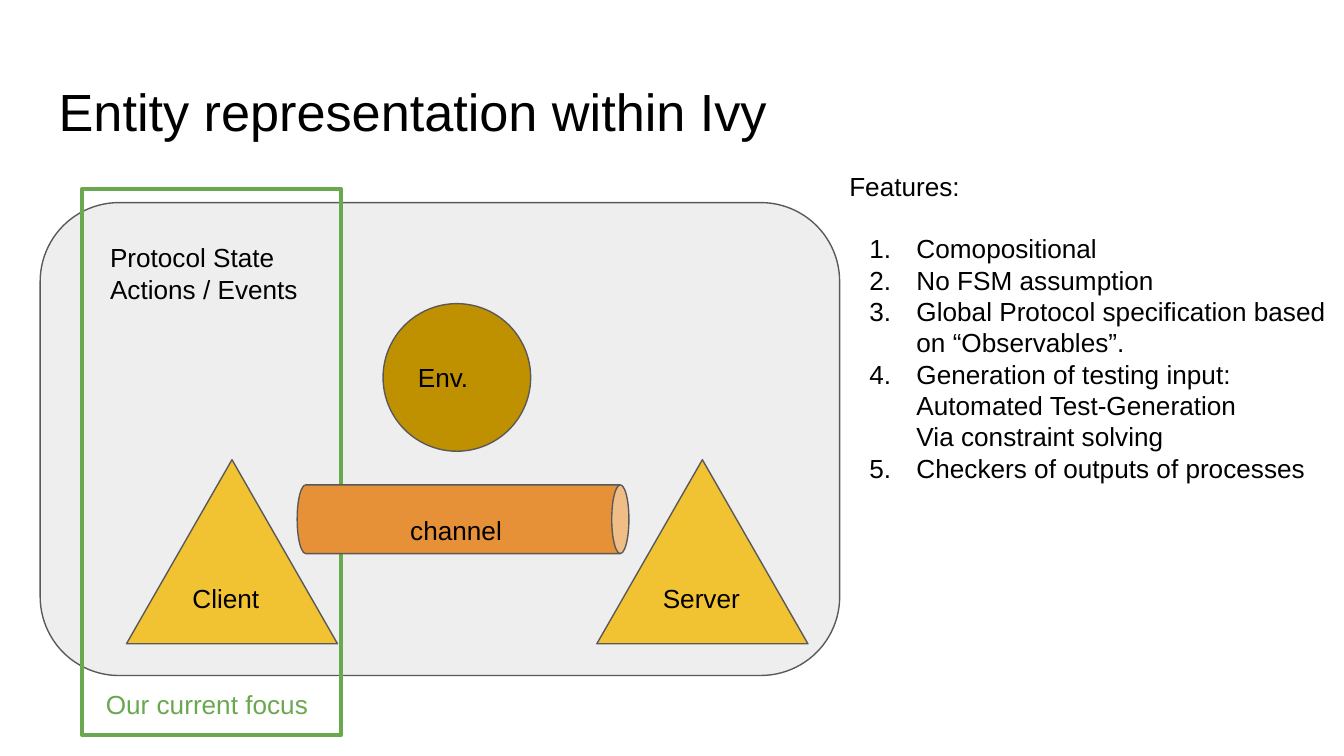
from lxml.etree import SubElement
from pptx import Presentation
from pptx.dml.color import RGBColor
from pptx.enum.shapes import MSO_SHAPE as Preset
from pptx.enum.text import MSO_ANCHOR as Anchor, MSO_AUTO_SIZE as AutoSize, PP_ALIGN as Align
from pptx.oxml.ns import qn
from pptx.util import Cm, Pt

FONT = "Arial"
BLACK = RGBColor(0x00, 0x00, 0x00)
OUTLINE = RGBColor(0x59, 0x59, 0x59)
PANEL = RGBColor(0xEE, 0xEE, 0xEE)
FOCUS = RGBColor(0x6A, 0xA8, 0x4F)
PROCESS = RGBColor(0xF1, 0xC2, 0x32)
CHANNEL = RGBColor(0xE6, 0x91, 0x38)
ENVIRONMENT = RGBColor(0xBF, 0x90, 0x00)

FEATURES = [
    ["Comopositional"],
    ["No FSM assumption"],
    ["Global Protocol specification based on “Observables”."],
    ["Generation of testing input: Automated Test-Generation", "Via constraint solving"],
    ["Checkers of outputs of processes"],
]


def place(part, left, top, width, height):
    part.left, part.top, part.width, part.height = map(Cm, (left, top, width, height))


def prepare_frame(frame, anchor=Anchor.TOP):
    frame.word_wrap = True
    frame.auto_size = AutoSize.NONE
    frame.vertical_anchor = anchor
    frame.margin_left = frame.margin_right = Cm(0.25)
    frame.margin_top = frame.margin_bottom = Cm(0.25)


def write(paragraph, words, size=14, color=BLACK, align=Align.LEFT):
    paragraph.alignment = align
    paragraph.space_before = Pt(0)
    run = paragraph.add_run()
    run.text = words
    run.font.name = FONT
    run.font.size = Pt(size)
    run.font.color.rgb = color


def write_lines(frame, lines, **style):
    for index, line in enumerate(lines):
        paragraph = frame.add_paragraph() if index else frame.paragraphs[0]
        write(paragraph, line, **style)


def set_bullet(paragraph, numbered):
    props = paragraph._p.get_or_add_pPr()
    props.set("marL", str(Cm(1.27) if numbered else 0))
    props.set("indent", str(Cm(-0.89) if numbered else 0))
    if numbered:
        SubElement(props, qn("a:buFont"), typeface=FONT)
        SubElement(props, qn("a:buAutoNum"), type="arabicPeriod")
    else:
        SubElement(props, qn("a:buNone"))


def add_heading(slide, left, top, width, height):
    heading = slide.shapes.title
    place(heading, left, top, width, height)
    prepare_frame(heading.text_frame)
    write(heading.text_frame.paragraphs[0], "Entity representation within Ivy", size=28)


def add_features(slide, left, top, width, height):
    features = slide.placeholders[1]
    place(features, left, top, width, height)
    frame = features.text_frame
    prepare_frame(frame)
    intro = frame.paragraphs[0]
    write(intro, "Features:")
    intro.space_after = Pt(16.5)
    set_bullet(intro, numbered=False)
    for lines in FEATURES:
        item = frame.add_paragraph()
        for index, line in enumerate(lines):
            if index:
                item.add_line_break()
            write(item, line)
        set_bullet(item, numbered=True)


def add_diagram(slide, left, top, width, height):
    diagram = slide.shapes.add_group_shape().shapes

    def add_part(preset, x, y, w, h, fill=None, line=OUTLINE, weight=0.75, label=None):
        part = diagram.add_shape(preset, Cm(left + x), Cm(top + y), Cm(w), Cm(h))
        part.shadow.inherit = False
        if fill is None:
            part.fill.background()
        else:
            part.fill.solid()
            part.fill.fore_color.rgb = fill
        part.line.color.rgb = line
        part.line.width = Pt(weight)
        if label:
            prepare_frame(part.text_frame, Anchor.MIDDLE)
            write(part.text_frame.paragraphs[0], label)
        return part

    def add_note(x, y, w, h, *lines, **style):
        note = diagram.add_textbox(Cm(left + x), Cm(top + y), Cm(w), Cm(h))
        prepare_frame(note.text_frame)
        write_lines(note.text_frame, lines, **style)

    add_part(Preset.ROUNDED_RECTANGLE, 0, 0.25, width, 8.94, PANEL)
    add_part(Preset.RECTANGLE, 0.79, 0, 4.9, height, line=FOCUS, weight=2.25)
    for x, process in ((1.63, "Client"), (10.52, "Server")):
        add_part(Preset.ISOSCELES_TRIANGLE, x, 5.11, 3.99, 3.48, PROCESS, label=process)
    channel = add_part(Preset.CAN, 7.34, 3.1, 1.3, 6.27, CHANNEL)
    channel.rotation = 90
    add_note(5.03, 5.89, 5.66, 0.66, "channel", align=Align.CENTER)
    add_part(Preset.OVAL, 6.48, 2.16, 2.79, 2.79, ENVIRONMENT, label="Env.")
    add_note(0.99, 9.19, 5.23, 1.04, "Our current focus", color=FOCUS)
    add_note(1.07, 0.74, 4.19, 1.65, "Protocol State", "Actions / Events")


deck = Presentation()
deck.slide_width, deck.slide_height = Cm(25.4), Cm(14.29)
slide = deck.slides.add_slide(deck.slide_layouts[1])
add_heading(slide, 0.86, 1.24, 23.67, 1.6)
add_features(slide, 15.8, 2.97, 9.88, 1.73)
add_diagram(slide, 0.76, 3.58, 15.11, 10.31)
deck.save("out.pptx")
